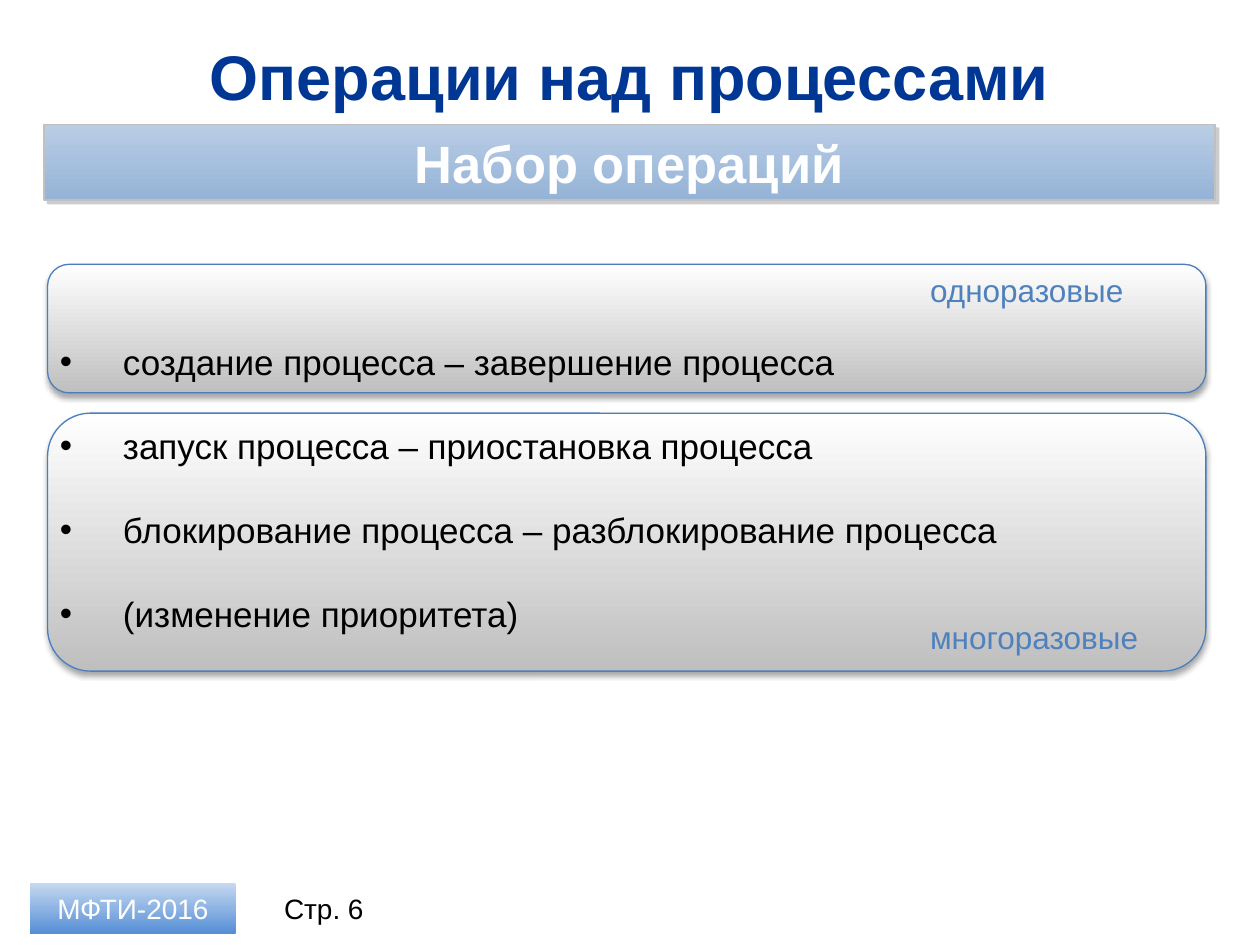
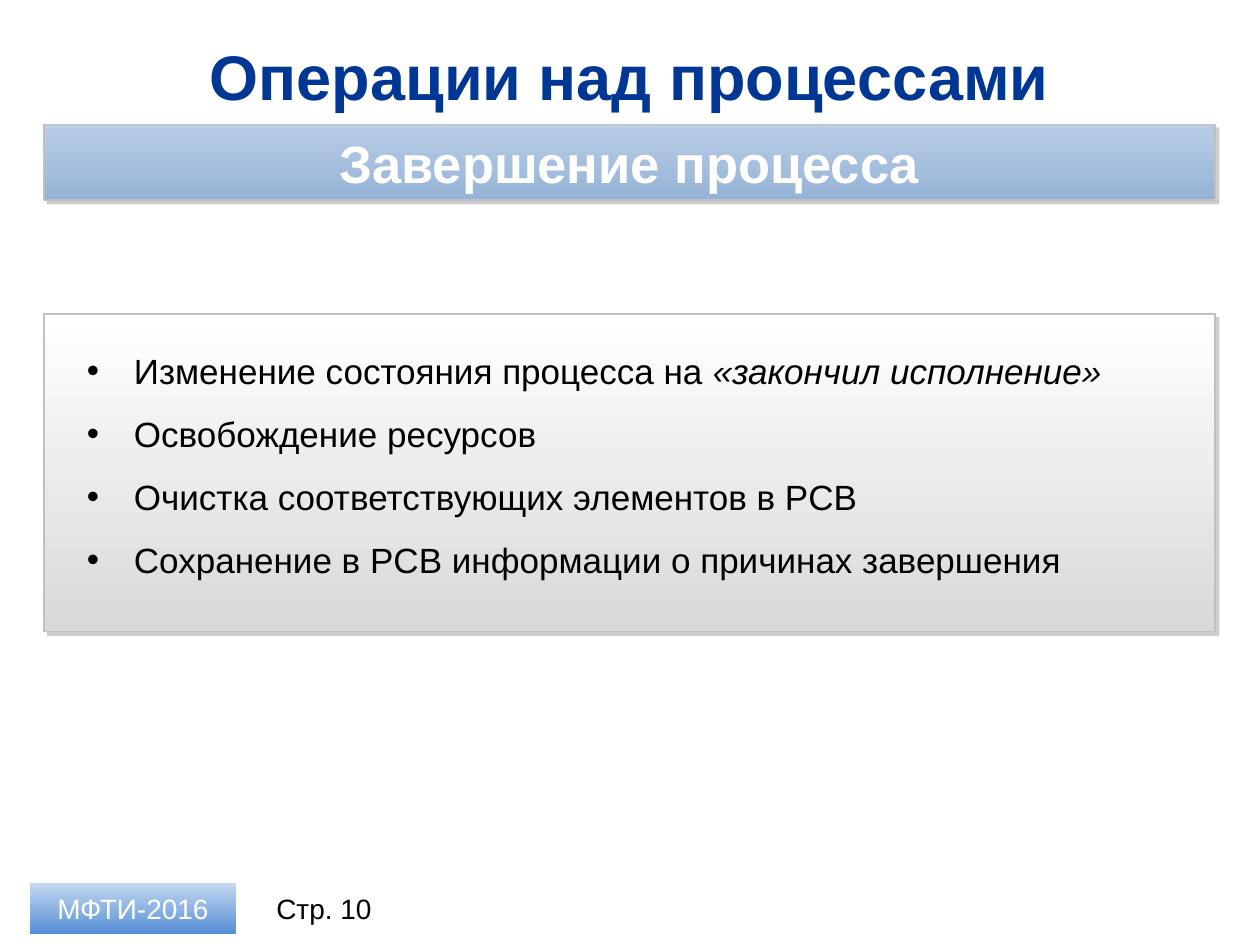
from lxml.etree import SubElement
from pptx import Presentation
from pptx.dml.color import RGBColor
from pptx.enum.shapes import MSO_SHAPE
from pptx.enum.text import MSO_ANCHOR, PP_ALIGN
from pptx.oxml.ns import qn
from pptx.util import Cm, Pt

# Palette
WHITE = RGBColor(0xFF, 0xFF, 0xFF)
BLACK = RGBColor(0x00, 0x00, 0x00)
TITLE_BLUE = RGBColor(0x00, 0x37, 0x94)
LABEL_BLUE = RGBColor(0x4F, 0x81, 0xBD)
OUTLINE_BLUE = RGBColor(0x4B, 0x7E, 0xBC)
FRAME_GRAY = RGBColor(0xC0, 0xC0, 0xC0)
SHADOW_GRAY = RGBColor(0x80, 0x80, 0x80)

# Gradients, top to bottom
BAND_FILL = (RGBColor(0xB9, 0xCD, 0xE5), RGBColor(0x95, 0xB3, 0xD7))
FOOTER_FILL = (RGBColor(0xC6, 0xD9, 0xF1), RGBColor(0x8E, 0xB4, 0xE3),
               RGBColor(0x55, 0x8E, 0xD5))
GROUP_FILL = (WHITE, RGBColor(0xBF, 0xBF, 0xBF))
PANEL_FILL = (WHITE, RGBColor(0xD9, 0xD9, 0xD9))

# Shadows: colour, opacity %, blur, distance, direction in degrees
FRAME_SHADOW = (SHADOW_GRAY, 40, Pt(0), Pt(3), 45)
GROUP_SHADOW = (BLACK, 35, Pt(3.1), Pt(1.8), 90)

# Shared geometry
FONT = "Arial"
MARGIN, CONTENT_WIDTH = 0.89, 23.6
FOOTER_TOP, FOOTER_HEIGHT = 17.8, 1.02
GROUP_LEFT, GROUP_WIDTH = 0.96, 23.35


def box(left, top, width, height):
    return Cm(left), Cm(top), Cm(width), Cm(height)


def style_runs(paragraph, size, color, bold=False):
    for run in paragraph.runs:
        run.font.name = FONT
        run.font.size = Pt(size)
        run.font.color.rgb = color
        run.font.bold = bold


def write_line(shape, text, size, color, bold=False, align=PP_ALIGN.CENTER):
    frame = shape.text_frame
    frame.word_wrap = True
    frame.vertical_anchor = MSO_ANCHOR.MIDDLE
    frame.text = text
    frame.paragraphs[0].alignment = align
    style_runs(frame.paragraphs[0], size, color, bold)


def add_label(slide, place, text, size, color, **style):
    write_line(slide.shapes.add_textbox(*place), text, size, color, **style)


def fill_gradient(shape, colors):
    shape.fill.gradient()
    shape.fill.gradient_angle = 270
    stops = shape.element.spPr.find(".//" + qn("a:gsLst"))
    for stop in list(stops):
        stops.remove(stop)
    for index, color in enumerate(colors):
        position = 100000 * index // (len(colors) - 1)
        stop = SubElement(stops, qn("a:gs"), pos=str(position))
        SubElement(stop, qn("a:srgbClr"), val=str(color))


def cast_shadow(shape, color, opacity, blur, distance, direction):
    effects = shape.element.spPr.find(qn("a:effectLst"))
    shadow = SubElement(effects, qn("a:outerShdw"), blurRad=str(blur),
                        dist=str(distance), dir=str(direction * 60000),
                        algn="tl", rotWithShape="0")
    tone = SubElement(shadow, qn("a:srgbClr"), val=str(color))
    SubElement(tone, qn("a:alpha"), val=str(opacity * 1000))


def add_panel(slide, place, colors, outline=None, width=1, shadow=None,
              kind=MSO_SHAPE.RECTANGLE):
    panel = slide.shapes.add_shape(kind, *place)
    panel.shadow.inherit = False
    fill_gradient(panel, colors)
    if outline is None:
        panel.line.fill.background()
    else:
        panel.line.color.rgb = outline
        panel.line.width = Pt(width)
    if shadow:
        cast_shadow(panel, *shadow)
    return panel


def add_framed_panel(slide, top, height, colors):
    return add_panel(slide, box(MARGIN, top, CONTENT_WIDTH, height), colors,
                     FRAME_GRAY, shadow=FRAME_SHADOW)


def add_group(slide, top, height):
    add_panel(slide, box(GROUP_LEFT, top, GROUP_WIDTH, height), GROUP_FILL,
              OUTLINE_BLUE, 0.75, GROUP_SHADOW, MSO_SHAPE.ROUNDED_RECTANGLE)


def add_bullets(slide, place, items, indent, gap):
    """Each item is a pair: plain text and an italic ending."""
    frame = slide.shapes.add_textbox(*place).text_frame
    frame.word_wrap = True
    for index, (plain, italic) in enumerate(items):
        paragraph = frame.paragraphs[0] if index == 0 else frame.add_paragraph()
        paragraph.text = plain
        if index:
            paragraph.space_before = Pt(gap)
        if italic:
            ending = paragraph.add_run()
            ending.text = italic
            ending.font.italic = True
        style_runs(paragraph, 20, BLACK)
        properties = paragraph._p.get_or_add_pPr()
        properties.set("marL", str(Cm(indent)))
        properties.set("indent", str(-Cm(indent)))
        SubElement(properties, qn("a:buFont"), typeface=FONT)
        SubElement(properties, qn("a:buChar"), char="•")


def add_page(deck, topic, number):
    slide = deck.slides.add_slide(deck.slide_layouts[6])
    # Title and topic band
    add_label(slide, box(MARGIN, 0.66, CONTENT_WIDTH, 1.73),
              "Операции над процессами", 36, TITLE_BLUE, bold=True)
    band = add_framed_panel(slide, 2.51, 1.52, BAND_FILL)
    write_line(band, topic, 30, WHITE, bold=True)
    # Footer
    add_label(slide, box(5.16, FOOTER_TOP, 2.74, FOOTER_HEIGHT),
              f"Стр. {number}", 16, BLACK)
    course = add_panel(slide, box(0.61, FOOTER_TOP, 4.14, FOOTER_HEIGHT),
                       FOOTER_FILL)
    write_line(course, "МФТИ-2016", 16, WHITE)
    return slide


def add_operations_page(deck):
    slide = add_page(deck, "Набор операций", 6)
    # Repeatable and one-time groups
    add_group(slide, 8.33, 5.2)
    add_group(slide, 5.33, 2.59)
    operations = [
        ("создание процесса – завершение процесса", ""),
        ("запуск процесса – приостановка процесса", ""),
        ("блокирование процесса – разблокирование процесса", ""),
        ("(изменение приоритета)", ""),
    ]
    add_bullets(slide, box(GROUP_LEFT, 6.73, 23.55, 6.25), operations, 1.27, 24)
    for name, top in (("одноразовые", 5.33), ("многоразовые", 12.33)):
        add_label(slide, box(18.5, top, 4.8, 1.02), name, 18, LABEL_BLUE,
                  align=PP_ALIGN.LEFT)


def add_termination_page(deck):
    slide = add_page(deck, "Завершение процесса", 10)
    # Steps of termination
    add_framed_panel(slide, 6.33, 6.4, PANEL_FILL)
    steps = [
        ("Изменение состояния процесса на ", "«закончил исполнение»"),
        ("Освобождение ресурсов", ""),
        ("Очистка соответствующих элементов в PCB", ""),
        ("Сохранение в PCB информации о причинах завершения", ""),
    ]
    add_bullets(slide, box(1.5, 6.93, 22.2, 4.95), steps, 0.95, 12)


def main():
    deck = Presentation()
    deck.slide_width, deck.slide_height = Cm(25.4), Cm(19.05)
    add_operations_page(deck)
    add_termination_page(deck)
    deck.save("out.pptx")


if __name__ == "__main__":
    main()
